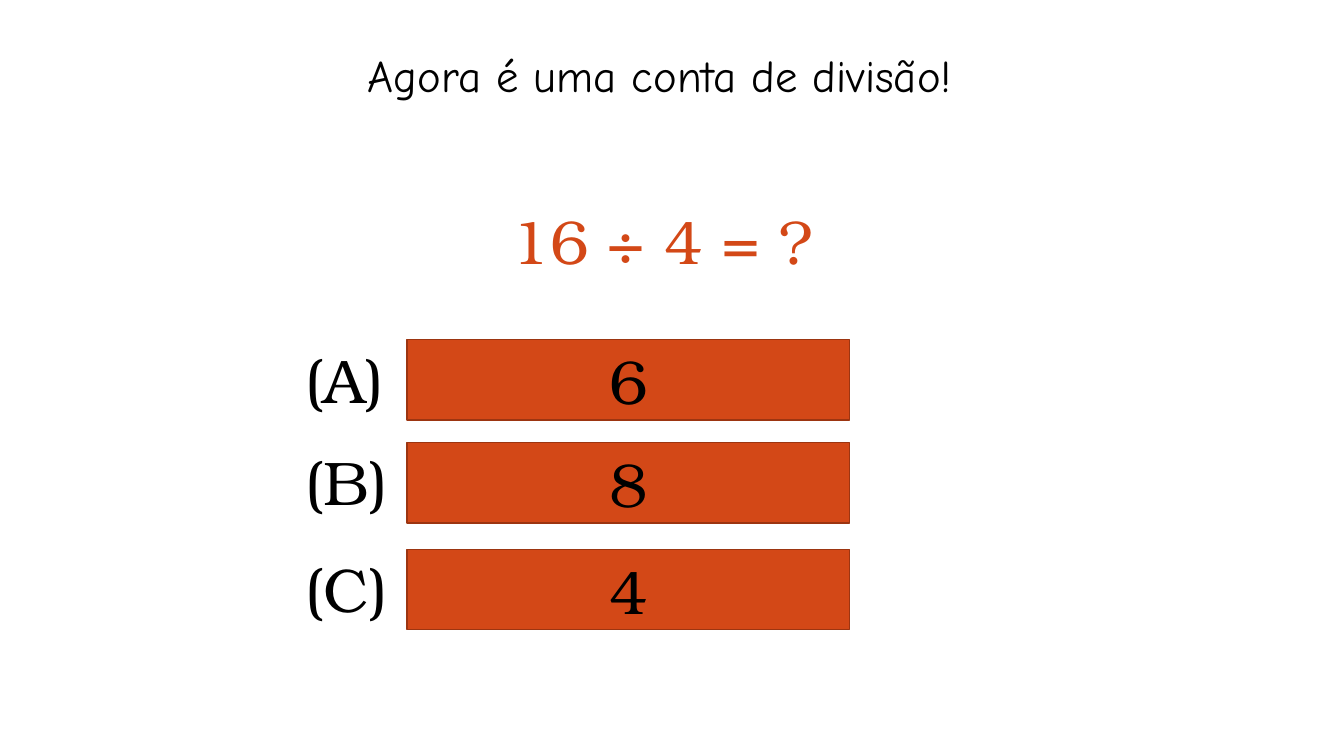
from pptx import Presentation
from pptx import util as u
from pptx.dml import color
from pptx.enum import shapes, text

ORANGE = "D34817"
DARK_ORANGE = "9C3511"
BLACK = "000000"
SERIF = "TeX Gyre Bonum"


def rgb(value):
    return color.RGBColor.from_string(value)


def write(shape, content, font_color=BLACK, name=SERIF, size=44,
          alignment=text.PP_ALIGN.LEFT, anchor=text.MSO_ANCHOR.TOP):
    frame = shape.text_frame
    frame_format = {
        "word_wrap": True,
        "auto_size": text.MSO_AUTO_SIZE.NONE,
        "vertical_anchor": anchor,
    }
    for key, value in frame_format.items():
        setattr(frame, key, value)
    paragraph = frame.paragraphs[0]
    paragraph.alignment = alignment
    run = paragraph.add_run()
    run.text = content
    for key, value in {"name": name, "size": u.Pt(size), "bold": False}.items():
        setattr(run.font, key, value)
    run.font.color.rgb = rgb(font_color)


def add_heading(slide, left, top, width, height):
    title = slide.shapes.title
    box = {"left": left, "top": top, "width": width, "height": height}
    for key, value in box.items():
        setattr(title, key, u.Cm(value))
    write(title, "Agora é uma conta de divisão!", name="Comic Neue", size=32,
          alignment=text.PP_ALIGN.CENTER)


def add_question(slide, left, top, width, height):
    box = slide.shapes.add_textbox(u.Cm(left), u.Cm(top), u.Cm(width), u.Cm(height))
    write(box, "16 ÷ 4 = ?", font_color=ORANGE)


def add_answer(slide, letter, answer, left, top, width, height):
    label_width = 2.82
    label = slide.shapes.add_textbox(
        u.Cm(left), u.Cm(top - 0.08), u.Cm(label_width + 0.5), u.Cm(height + 0.1))
    write(label, f"({letter})")
    bar = slide.shapes.add_shape(
        shapes.MSO_SHAPE.RECTANGLE, u.Cm(left + label_width), u.Cm(top),
        u.Cm(width - label_width), u.Cm(height))
    bar.shadow.inherit = False
    bar.fill.solid()
    bar.fill.fore_color.rgb = rgb(ORANGE)
    bar.line.color.rgb = rgb(DARK_ORANGE)
    bar.line.width = u.Pt(1)
    write(bar, answer, alignment=text.PP_ALIGN.CENTER, anchor=text.MSO_ANCHOR.MIDDLE)


def main():
    presentation = Presentation()
    presentation.slide_width = u.Cm(33.87)
    presentation.slide_height = u.Cm(19.05)
    slide = presentation.slides.add_slide(presentation.slide_layouts[5])
    add_heading(slide, 6.45, 1.07, 20.37, 1.63)
    add_question(slide, 12.65, 4.98, 14.12, 2.13)
    for letter, answer, top in (("A", "6", 8.56), ("B", "8", 11.15), ("C", "4", 13.84)):
        add_answer(slide, letter, answer, 7.44, top, 13.97, 2.03)
    presentation.save("out.pptx")


if __name__ == "__main__":
    main()
